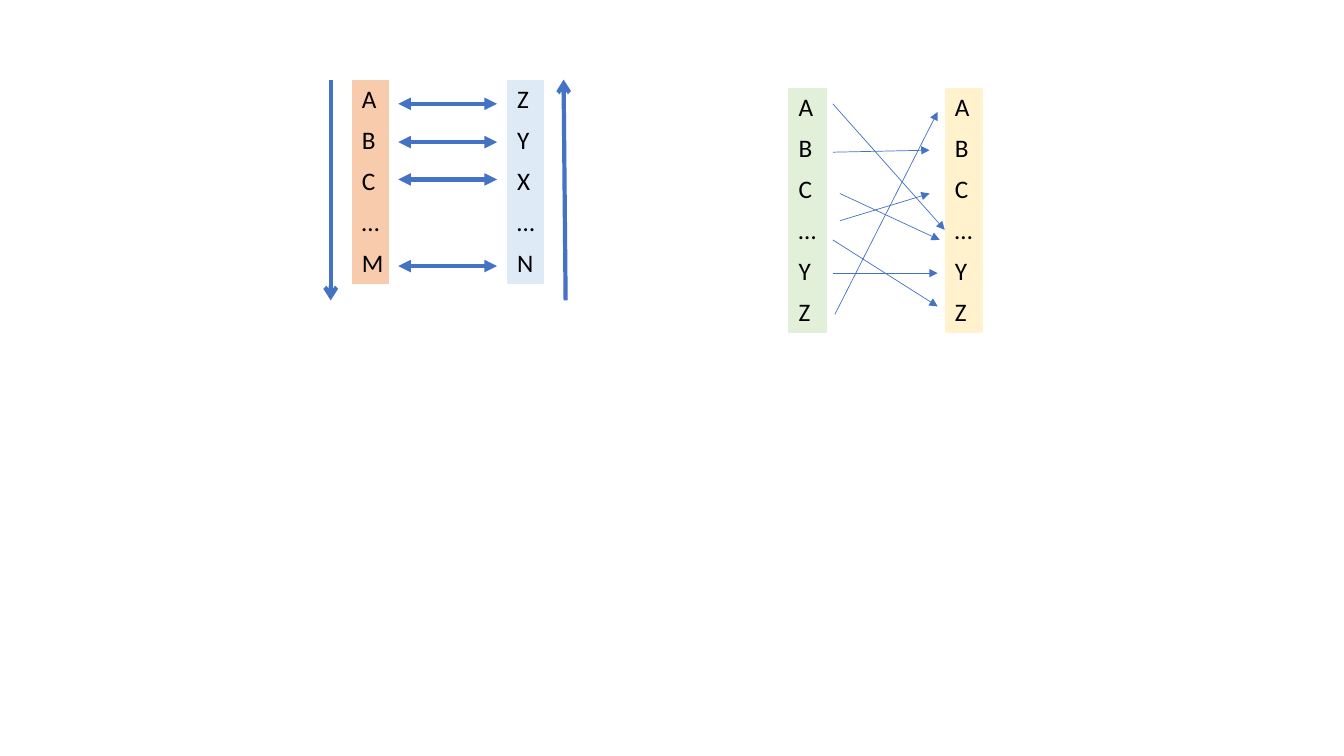
from dataclasses import dataclass

from lxml import etree
from pptx import Presentation
from pptx import util as u
from pptx.dml.color import RGBColor
from pptx.enum import shapes, text
from pptx.oxml import ns


@dataclass(frozen=True)
class Theme:
    font: str = "Calibri"
    letter_size: float = 18
    thick: float = 3
    thin: float = 0.5
    ink: str = "000000"
    arrow: str = "4472C4"
    orange: str = "F8CBAD"
    blue: str = "DEEBF7"
    green: str = "E2F0D9"
    yellow: str = "FFF2CC"
    plain_table: str = "{2D5ABB26-0587-4C30-8999-92F81FD0307C}"


class Sketch:
    CELL = u.Inches(0.1)

    def __init__(self, deck, theme):
        self.theme = theme
        self.page = deck.slides.add_slide(deck.slide_layouts[6])

    def grid(self, *lengths):
        return [round(length * self.CELL) for length in lengths]

    def table(self, left, top, widths, row_height, columns):
        row_count = len(columns[0][0])
        frame = self.page.shapes.add_table(
            row_count, len(widths),
            *self.grid(left, top, sum(widths), row_height * row_count))
        table = frame.table
        for name, value in {"first_row": False, "horz_banding": False}.items():
            setattr(table, name, value)
        style = next(frame.element.iter(ns.qn("a:tableStyleId")))
        style.text = self.theme.plain_table
        for column, width in zip(table.columns, self.grid(*widths)):
            column.width = width
        for column_index, (letters, fill) in enumerate(columns):
            for row_index, letter in enumerate(letters):
                self.cell(table.cell(row_index, column_index), letter, fill)

    def cell(self, box, letter, fill):
        if fill is None:
            box.fill.background()
        else:
            box.fill.solid()
            box.fill.fore_color.rgb = RGBColor.from_string(fill)
        box.vertical_anchor = text.MSO_ANCHOR.TOP
        para = box.text_frame.paragraphs[0]
        para.font.size = u.Pt(self.theme.letter_size)
        if letter:
            span = para.add_run()
            span.text = letter
            formats = {"name": self.theme.font,
                       "size": u.Pt(self.theme.letter_size)}
            for name, value in formats.items():
                setattr(span.font, name, value)
            span.font.color.rgb = RGBColor.from_string(self.theme.ink)

    def arrow(self, start, end, width, **ends):
        link = self.page.shapes.add_connector(
            shapes.MSO_CONNECTOR.STRAIGHT, *self.grid(*start, *end))
        link.line.color.rgb = RGBColor.from_string(self.theme.arrow)
        link.line.width = u.Pt(width)
        properties = link.element.spPr
        outline = properties.find(ns.qn("a:ln"))
        for side in ("headEnd", "tailEnd"):
            if side in ends:
                etree.SubElement(outline, ns.qn(f"a:{side}"), type=ends[side])
        etree.SubElement(properties, ns.qn("a:effectLst"))


def main():
    deck = Presentation()
    deck.slide_width = u.Inches(13.33)
    deck.slide_height = u.Inches(7.5)
    theme = Theme()
    sketch = Sketch(deck, theme)
    row_height = 4.06

    sketch.table(34.9, 7.9, [3.7, 11.7, 3.7], row_height, [
        ("ABC…M", theme.orange),
        ([""] * 5, None),
        ("ZYX…N", theme.blue),
    ])
    for row in (10.3, 14.1, 17.8, 26.4):
        sketch.arrow((39.5, row), (49.3, row), theme.thick,
                     headEnd="triangle", tailEnd="triangle")
    for start, end in (((56.1, 29.8), (55.9, 7.9)),
                       ((32.8, 7.9), (32.8, 29.8))):
        sketch.arrow(start, end, theme.thick, tailEnd="arrow")

    for left, fill in ((78.2, theme.green), (93.7, theme.yellow)):
        sketch.table(left, 8.7, [3.8], row_height, [("ABC…YZ", fill)])
    mapping = [
        ((82.6, 10.3), (93.7, 22.8)),
        ((82.6, 15.1), (92.2, 14.9)),
        ((83.3, 21.9), (92.2, 19.2)),
        ((82.6, 27.1), (93, 27.1)),
        ((82.6, 23.8), (93, 30.4)),
        ((82.8, 31.2), (93, 11.1)),
        ((83.3, 19.2), (93.2, 23.8)),
    ]
    for start, end in mapping:
        sketch.arrow(start, end, theme.thin, tailEnd="triangle")

    deck.save("out.pptx")


if __name__ == "__main__":
    main()
